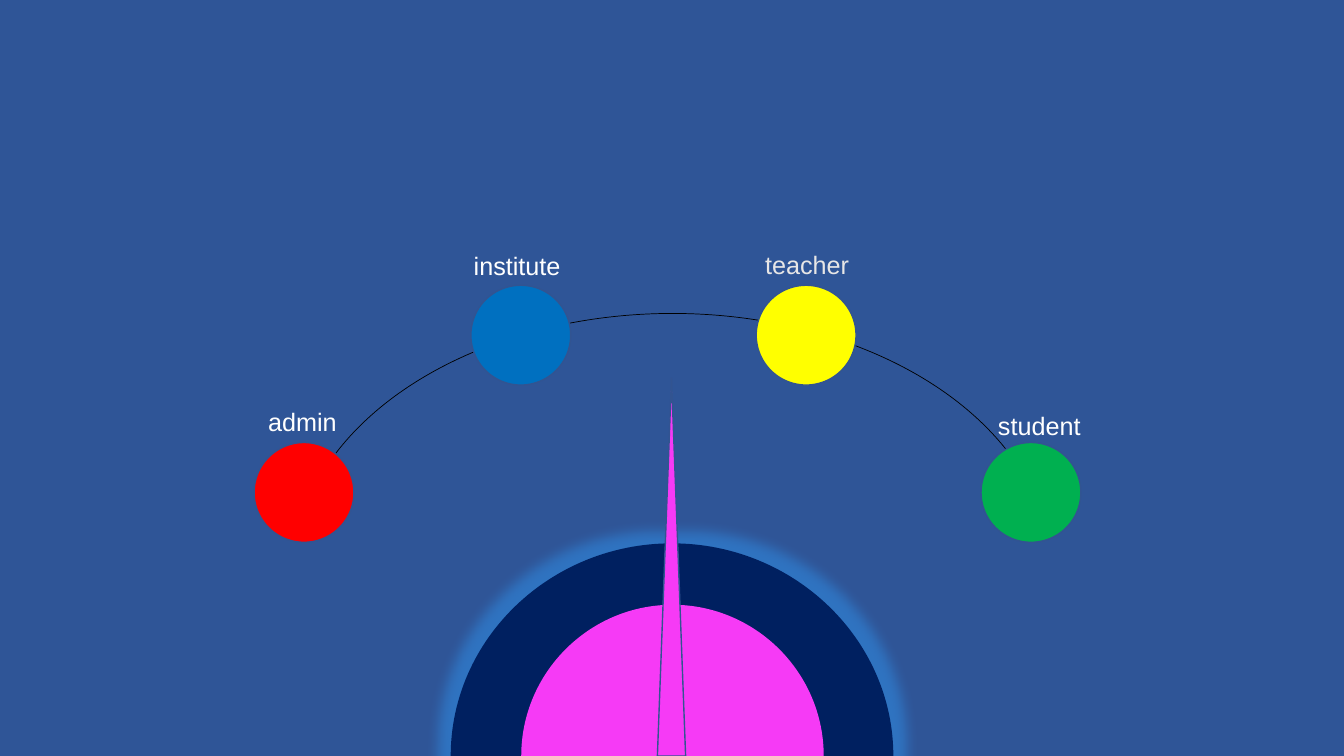
from dataclasses import dataclass

import lxml.etree
import pptx
import pptx.dml.color
import pptx.enum.shapes
import pptx.oxml
import pptx.oxml.ns
import pptx.util
from pptx.dml.color import RGBColor
from pptx.enum.shapes import MSO_SHAPE
from pptx.util import Inches

BACKGROUND = RGBColor(0x2F, 0x55, 0x97)
OUTLINE = RGBColor(0x32, 0x54, 0x91)
NAVY = RGBColor(0x00, 0x20, 0x60)
MAGENTA = RGBColor(0xF6, 0x3A, 0xF6)
RED = RGBColor(0xFF, 0x00, 0x00)
BLUE = RGBColor(0x00, 0x70, 0xC0)
YELLOW = RGBColor(0xFF, 0xFF, 0x00)
GREEN = RGBColor(0x00, 0xB0, 0x50)
WHITE = RGBColor(0xFF, 0xFF, 0xFF)
PALE_GRAY = RGBColor(0xE7, 0xE6, 0xE6)
BLACK = RGBColor(0x00, 0x00, 0x00)
GLOW = RGBColor(0x31, 0xA0, 0xFF)

SLIDE_WIDTH, SLIDE_HEIGHT = 13.33, 7.5
ROLE_DIAMETER = 0.99
LABEL_HEIGHT = 0.4
ARC_HANDLE = 0.55


@dataclass
class Role:
    name: str
    color: RGBColor
    left: float
    top: float
    label_left: float
    label_top: float
    label_width: float
    label_color: RGBColor = WHITE


@dataclass
class Dome:
    left: float
    top: float
    width: float
    color: RGBColor


ROLES = [
    Role("admin", RED, 2.52, 4.39, 2.56, 3.98, 0.91),
    Role("institute", BLUE, 4.67, 2.83, 4.6, 2.43, 1.13),
    Role("teacher", YELLOW, 7.5, 2.83, 7.49, 2.42, 1.13, PALE_GRAY),
    Role("student", GREEN, 9.73, 4.39, 9.8, 4.02, 1.06),
]
OUTER_DOME = Dome(4.47, 5.39, 4.39, NAVY)
INNER_DOME = Dome(5.17, 6, 3, MAGENTA)


def add_outlined(slide, preset: MSO_SHAPE, left: float, top: float,
                 width: float, height: float, color: RGBColor) -> None:
    shape = slide.shapes.add_shape(
        preset, Inches(left), Inches(top), Inches(width), Inches(height))
    shape.shadow.inherit = False
    shape.fill.solid()
    shape.fill.fore_color.rgb = color
    shape.line.color.rgb = OUTLINE
    shape.line.width = pptx.util.Pt(1)


def add_track(slide) -> None:
    track = slide.shapes.add_shape(
        MSO_SHAPE.ARC, Inches(2.9), Inches(3.11), Inches(7.54), Inches(5.18))
    track.adjustments[0] = 116.524
    track.adjustments[1] = 207.96
    track.shadow.inherit = False
    track.fill.background()
    track.line.color.rgb = BLACK
    track.line.width = pptx.util.Pt(0.5)


def merge_into_curve(segments: list) -> None:
    curve = lxml.etree.Element(pptx.oxml.ns.qn("a:cubicBezTo"))
    segments[0].addprevious(curve)
    for segment in segments:
        curve.append(segment[0])
        segment.getparent().remove(segment)


def add_dome(slide, dome: Dome):
    radius_x = dome.width / 2
    radius_y = SLIDE_HEIGHT - dome.top
    center = dome.left + radius_x
    quarter = [(ARC_HANDLE, 1), (1, ARC_HANDLE), (1, 0)]
    mirrored = [(-1, 0), (-1, ARC_HANDLE), (-ARC_HANDLE, 1), (0, 1)]
    start, *rim = [(Inches(center + x * radius_x), Inches(SLIDE_HEIGHT - y * radius_y))
                   for x, y in [(0, 1)] + quarter + mirrored]
    builder = slide.shapes.build_freeform(*start)
    builder.add_line_segments(rim, close=True)
    half_disc = builder.convert_to_shape()
    segments = list(half_disc.element.iter(pptx.oxml.ns.qn("a:lnTo")))
    merge_into_curve(segments[:3])
    merge_into_curve(segments[4:])
    half_disc.shadow.inherit = False
    half_disc.fill.solid()
    half_disc.fill.fore_color.rgb = dome.color
    half_disc.line.fill.background()
    return half_disc


def add_glow(half_disc, radius: float) -> None:
    effects = half_disc.element.spPr.find(pptx.oxml.ns.qn("a:effectLst"))
    effects.append(pptx.oxml.parse_xml(
        f'<a:glow {pptx.oxml.ns.nsdecls("a")} rad="{Inches(radius)}">'
        f'<a:srgbClr val="{GLOW}"><a:alpha val="40000"/></a:srgbClr></a:glow>'))


def add_label(slide, role: Role) -> None:
    label = slide.shapes.add_textbox(
        Inches(role.label_left), Inches(role.label_top),
        Inches(role.label_width), Inches(LABEL_HEIGHT))
    label.text_frame.word_wrap = True
    label.text_frame.text = role.name
    font = label.text_frame.paragraphs[0].runs[0].font
    font.name = "Arial"
    font.size = pptx.util.Pt(18)
    font.color.rgb = role.label_color


def main() -> None:
    deck = pptx.Presentation()
    deck.slide_width = Inches(SLIDE_WIDTH)
    deck.slide_height = Inches(SLIDE_HEIGHT)
    slide = deck.slides.add_slide(deck.slide_layouts[6])
    slide.background.fill.solid()
    slide.background.fill.fore_color.rgb = BACKGROUND

    add_track(slide)
    add_glow(add_dome(slide, OUTER_DOME), 0.25)
    add_dome(slide, INNER_DOME)
    for role in ROLES:
        add_outlined(slide, MSO_SHAPE.OVAL, role.left, role.top,
                     ROLE_DIAMETER, ROLE_DIAMETER, role.color)
    add_outlined(slide, MSO_SHAPE.ISOSCELES_TRIANGLE, 6.52, 3.75, 0.28, 3.75, MAGENTA)
    for role in ROLES:
        add_label(slide, role)

    deck.save("out.pptx")


if __name__ == "__main__":
    main()
